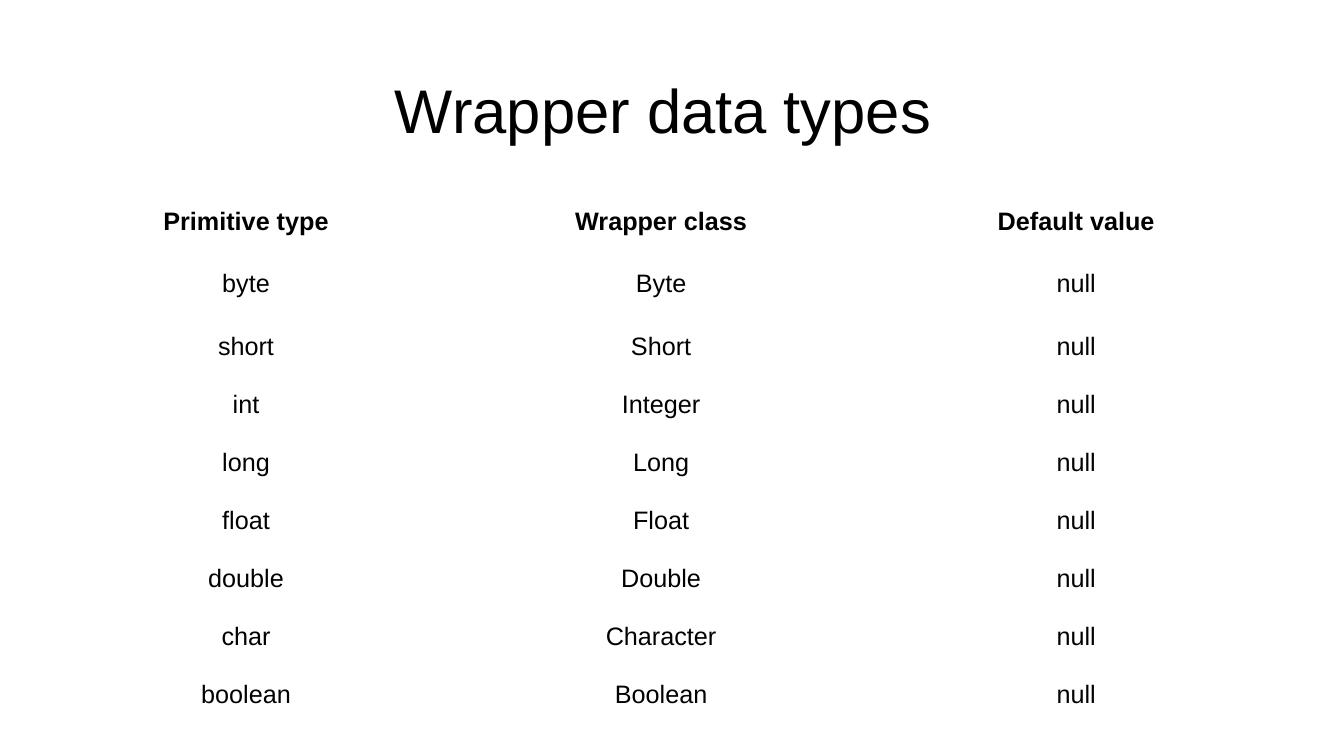
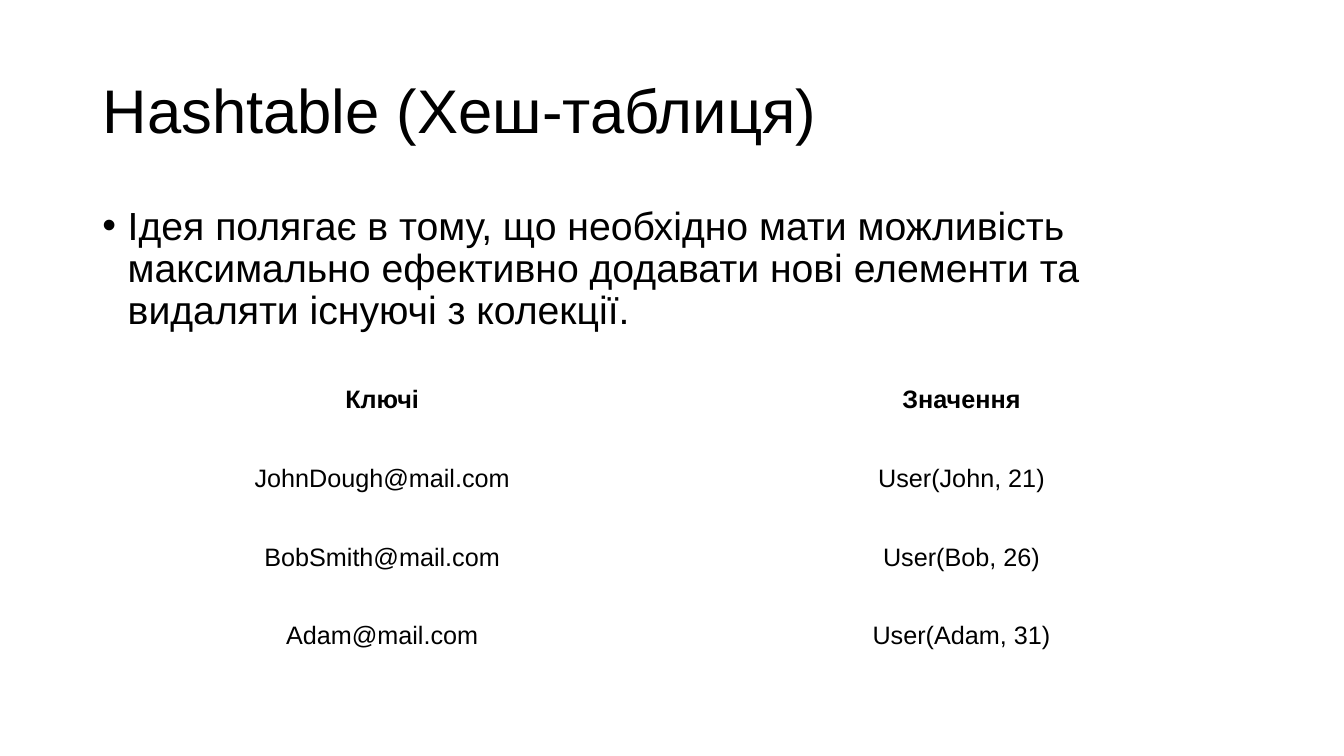
from dataclasses import dataclass

from lxml.etree import SubElement
from pptx import Presentation
from pptx.dml.color import RGBColor
from pptx.enum.text import MSO_ANCHOR, MSO_AUTO_SIZE, PP_ALIGN
from pptx.oxml.ns import qn
from pptx.presentation import Presentation as Deck
from pptx.slide import Slide
from pptx.util import Cm, Pt

BLACK = RGBColor(0x00, 0x00, 0x00)
WHITE = RGBColor(0xFF, 0xFF, 0xFF)
FONT = "Arial"
TITLE_ONLY = 5
CONTENT_LEFT = Cm(2.33)
CONTENT_WIDTH = Cm(29.21)
BULLET_INDENT = Cm(0.64)


@dataclass(frozen=True)
class Grid:
    rows: list[tuple[str, ...]]
    left: Cm
    top: Cm
    column_width: Cm
    row_heights: list[Cm]
    anchor: MSO_ANCHOR


WRAPPERS = {
    "byte": "Byte",
    "short": "Short",
    "int": "Integer",
    "long": "Long",
    "float": "Float",
    "double": "Double",
    "char": "Character",
    "boolean": "Boolean",
}

WRAPPER_GRID = Grid(
    rows=[
        ("Primitive type", "Wrapper class", "Default value"),
        *((primitive, wrapper, "null") for primitive, wrapper in WRAPPERS.items()),
    ],
    left=Cm(0.97),
    top=Cm(4.85),
    column_width=Cm(10.46),
    row_heights=[Cm(1.46), Cm(1.7)] + [Cm(1.46)] * 7,
    anchor=MSO_ANCHOR.MIDDLE,
)

HASHTABLE_GRID = Grid(
    rows=[
        ("Ключі", "Значення"),
        ("JohnDough@mail.com", "User(John, 21)"),
        ("BobSmith@mail.com", "User(Bob, 26)"),
        ("Adam@mail.com", "User(Adam, 31)"),
    ],
    left=CONTENT_LEFT,
    top=Cm(9.6),
    column_width=Cm(14.6),
    row_heights=[Cm(1.98)] * 4,
    anchor=MSO_ANCHOR.TOP,
)

HASHTABLE_IDEA = (
    "Ідея полягає в тому, що необхідно мати можливість максимально "
    "ефективно додавати нові елементи та видаляти існуючі з колекції."
)


def style_text(frame, size: int, align: PP_ALIGN, bold: bool = False) -> None:
    for para in frame.paragraphs:
        para.alignment = align
        for span in para.runs:
            span.font.name = FONT
            span.font.size = Pt(size)
            span.font.bold = bold
            span.font.color.rgb = BLACK


def add_page(deck: Deck, title: str, align: PP_ALIGN) -> Slide:
    page = deck.slides.add_slide(deck.slide_layouts[TITLE_ONLY])
    page.background.fill.solid()
    page.background.fill.fore_color.rgb = WHITE
    box = page.shapes.title
    box.left, box.top = CONTENT_LEFT, Cm(1.01)
    box.width, box.height = CONTENT_WIDTH, Cm(3.68)
    frame = box.text_frame
    frame.text = title
    frame.word_wrap = True
    frame.auto_size = MSO_AUTO_SIZE.NONE
    frame.vertical_anchor = MSO_ANCHOR.MIDDLE
    frame.paragraphs[0].line_spacing = 0.9
    style_text(frame, 44, align)
    return page


def add_bullet(page: Slide, text: str) -> None:
    box = page.shapes.add_textbox(CONTENT_LEFT, Cm(5.07), CONTENT_WIDTH, Cm(4.2))
    frame = box.text_frame
    frame.word_wrap = True
    frame.text = text
    para = frame.paragraphs[0]
    para.line_spacing = 0.9
    para.space_before = Pt(10)
    style_text(frame, 28, PP_ALIGN.LEFT)
    properties = para._p.get_or_add_pPr()
    properties.set("marL", str(BULLET_INDENT))
    properties.set("indent", str(-BULLET_INDENT))
    SubElement(properties, qn("a:buFont")).set("typeface", FONT)
    SubElement(properties, qn("a:buChar")).set("char", "•")


def add_grid(page: Slide, grid: Grid) -> None:
    column_count = len(grid.rows[0])
    table = page.shapes.add_table(
        len(grid.rows),
        column_count,
        grid.left,
        grid.top,
        grid.column_width * column_count,
        sum(grid.row_heights),
    ).table
    table.horz_banding = False
    for column in table.columns:
        column.width = grid.column_width
    for row_index, texts in enumerate(grid.rows):
        table.rows[row_index].height = grid.row_heights[row_index]
        for column_index, text in enumerate(texts):
            cell = table.cell(row_index, column_index)
            cell.fill.solid()
            cell.fill.fore_color.rgb = WHITE
            cell.vertical_anchor = grid.anchor
            cell.text_frame.text = text
            style_text(cell.text_frame, 18, PP_ALIGN.CENTER, bold=row_index == 0)


def main() -> None:
    deck = Presentation()
    deck.slide_width, deck.slide_height = Cm(33.87), Cm(19.05)

    wrapper_page = add_page(deck, "Wrapper data types ", PP_ALIGN.CENTER)
    add_grid(wrapper_page, WRAPPER_GRID)

    hashtable_page = add_page(deck, "Hashtable (Хеш-таблиця)", PP_ALIGN.LEFT)
    add_bullet(hashtable_page, HASHTABLE_IDEA)
    add_grid(hashtable_page, HASHTABLE_GRID)

    deck.save("out.pptx")


if __name__ == "__main__":
    main()
